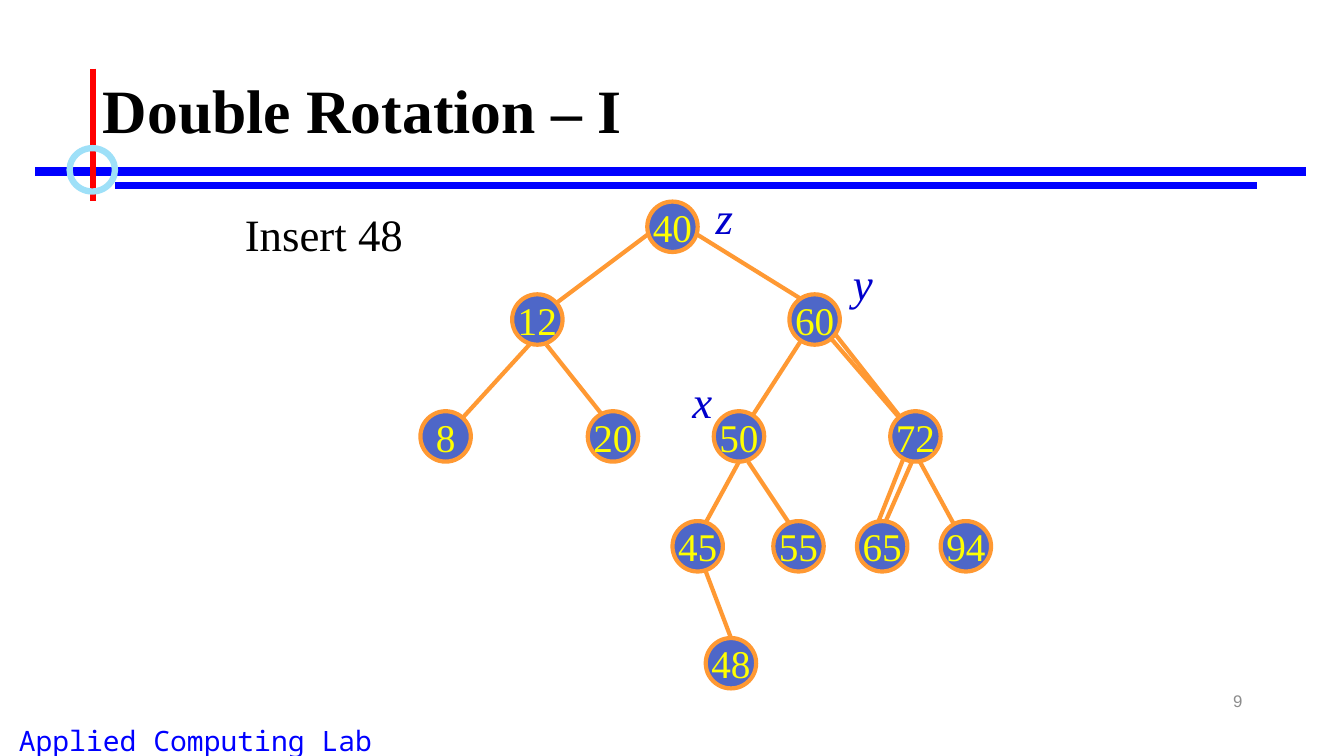
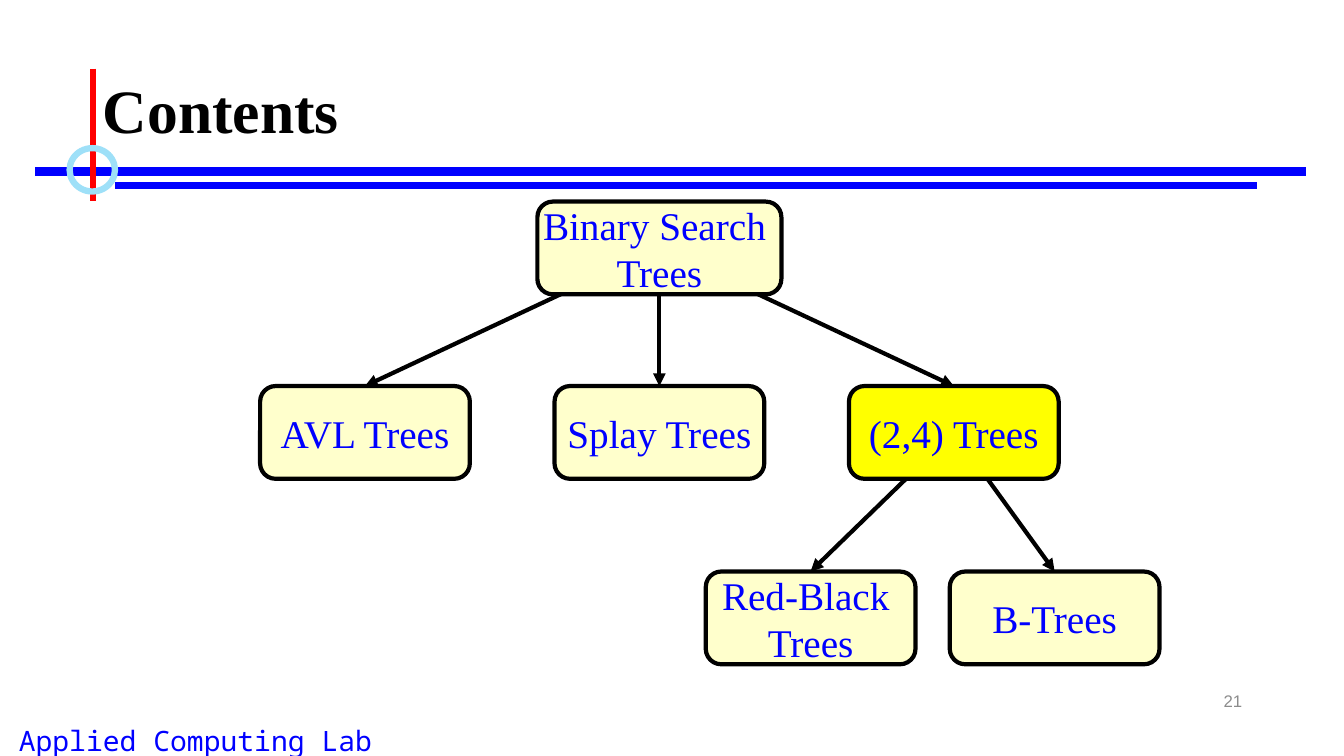
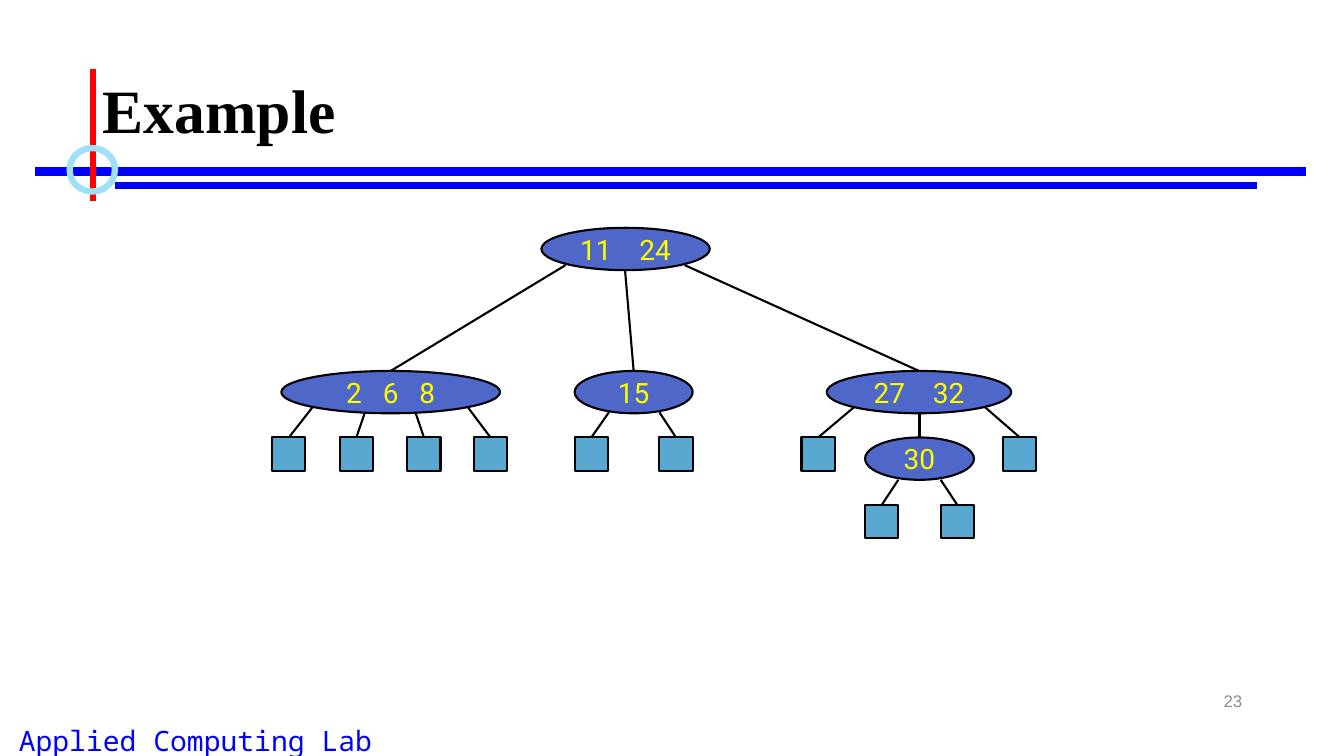
from dataclasses import dataclass

from lxml import etree
from pptx import Presentation
from pptx import util as u
from pptx.dml.color import RGBColor
from pptx.enum import shapes, text
from pptx.oxml import ns

COLORS = {
    "black": "000000",
    "blue": "0000FF",
    "label_blue": "0000CC",
    "red": "FF0000",
    "ring": "9EE0F8",
    "gray": "8C8C8C",
    "indigo": "4E67C8",
    "orange": "FF9933",
    "yellow": "FFFF00",
    "cream": "FFFFCC",
    "sky": "59A8D1",
}
SERIF = "Times New Roman"
TITLE_ONLY = 5
TOP_SITE = 0


@dataclass(frozen=True)
class TextStyle:
    font: str
    size: float
    color: str
    bold: bool = False
    italic: bool = False


@dataclass(frozen=True)
class ShapeStyle:
    preset: shapes.MSO_SHAPE
    fill: str | None
    line: str
    line_width: float


@dataclass(frozen=True)
class Box:
    left: float
    top: float
    width: float
    height: float


@dataclass(frozen=True)
class Line:
    x1: float
    y1: float
    x2: float
    y2: float


@dataclass(frozen=True)
class Topic:
    lines: tuple[str, ...]
    left: float
    top: float
    width: float = 2.08
    fill: str = "cream"
    subtopics: tuple["Topic", ...] = ()


@dataclass(frozen=True)
class Branch:
    x: float
    y: float
    child: "KeyNode"


@dataclass(frozen=True)
class KeyNode:
    left: float
    top: float
    width: float = 0.33
    keys: tuple[str, ...] = ()
    key_gap: float = 0
    branches: tuple[Branch, ...] = ()


TITLE = TextStyle(SERIF, 44, "black", bold=True)
FOOTER = TextStyle("Noto Sans Mono", 20, "blue")
PAGE_NUMBER = TextStyle("Arial", 12, "gray")
AVL_KEY = TextStyle(SERIF, 28, "yellow")
AVL_MARK = TextStyle(SERIF, 32, "label_blue", italic=True)
INSERT_NOTE = TextStyle(SERIF, 32, "black")
TOPIC = TextStyle(SERIF, 28, "blue")
MULTI_KEY = TextStyle("Roboto", 20, "yellow")

RING = ShapeStyle(shapes.MSO_SHAPE.OVAL, None, "ring", 4.5)
AVL_NODE = ShapeStyle(shapes.MSO_SHAPE.OVAL, "indigo", "orange", 3)
MULTI_NODE = ShapeStyle(shapes.MSO_SHAPE.OVAL, "indigo", "black", 1.5)
EXTERNAL_NODE = ShapeStyle(shapes.MSO_SHAPE.RECTANGLE, "sky", "black", 1.5)

BANDS = (
    (Line(0.35, 1.7, 12.95, 1.7), "blue", 6),
    (Line(1.14, 1.84, 12.47, 1.84), "blue", 4.5),
    (Line(0.92, 0.68, 0.92, 1.99), "red", 4.5),
)

AVL_EDGES = (
    Line(9.08, 4.5, 8.75, 5.25),
    Line(8.08, 3.17, 9.08, 4.33),
    Line(7, 5.67, 7.25, 6.33),
    Line(9.08, 4.5, 9.58, 5.42),
    Line(5.25, 3.42, 4.42, 4.33),
    Line(8.98, 4.5, 8.65, 5.33),
    Line(6.92, 2.33, 8, 3),
    Line(6.42, 2.33, 5.42, 3.08),
    Line(5.42, 3.42, 6.08, 4.25),
    Line(8.08, 3.17, 7.33, 4.33),
    Line(8.17, 3.17, 9.08, 4.33),
    Line(7.33, 4.58, 6.92, 5.33),
    Line(7.42, 4.58, 7.92, 5.33),
)
AVL_LEVELS = (
    (2, (("40", 6.42),)),
    (2.92, (("12", 5.08), ("60", 7.83))),
    (4.08, (("8", 4.17), ("20", 5.83), ("50", 7.08), ("72", 8.83))),
    (5.17, (("45", 6.67), ("55", 7.67), ("65", 8.5), ("94", 9.33))),
    (6.33, (("48", 7),)),
)
AVL_MARKS = (("z", 7, 1.83), ("x", 6.77, 3.66), ("y", 8.36, 2.49))

LEVELS = (2, 3.83, 5.67)
TOPICS = Topic(("Binary Search ", "Trees"), 5.33, LEVELS[0], 2.42, subtopics=(
    Topic(("AVL Trees",), 2.58, LEVELS[1]),
    Topic(("Splay Trees",), 5.5, LEVELS[1]),
    Topic(("(2,4) Trees",), 8.42, LEVELS[1], fill="yellow", subtopics=(
        Topic(("Red-Black ", "Trees"), 7, LEVELS[2]),
        Topic(("B-Trees",), 9.42, LEVELS[2]),
    )),
))

MULTIWAY_TREE = KeyNode(5.37, 2.26, 1.67, ("11", "24"), 14.85, (
    Branch(5.61, 2.63, KeyNode(2.79, 3.68, 2.17, ("2", "6", "8"), 9.9, (
        Branch(3.1, 4.04, KeyNode(2.7, 4.34)),
        Branch(3.62, 4.09, KeyNode(3.37, 4.34)),
        Branch(4.12, 4.09, KeyNode(4.04, 4.34)),
        Branch(4.64, 4.04, KeyNode(4.7, 4.34)),
    ))),
    Branch(6.2, 2.69, KeyNode(5.7, 3.68, 1.17, ("15",), branches=(
        Branch(6.04, 4.09, KeyNode(5.7, 4.34)),
        Branch(6.54, 4.09, KeyNode(6.54, 4.34)),
    ))),
    Branch(6.79, 2.63, KeyNode(8.2, 3.68, 1.83, ("27", "32"), 14.85, (
        Branch(8.47, 4.04, KeyNode(7.95, 4.34)),
        Branch(9.12, 4.1, KeyNode(8.58, 4.34, 1.08, ("30",), branches=(
            Branch(8.91, 4.76, KeyNode(8.58, 5.01)),
            Branch(9.33, 4.76, KeyNode(9.33, 5.01)),
        ))),
        Branch(9.77, 4.04, KeyNode(9.95, 4.34)),
    ))),
))


def rgb(name: str) -> RGBColor:
    return RGBColor.from_string(COLORS[name])


def inches(box: Box) -> tuple:
    return tuple(u.Inches(v) for v in (box.left, box.top, box.width, box.height))


def add_run(paragraph, words: str, style: TextStyle):
    run = paragraph.add_run()
    run.text = words
    font = run.font
    font.name, font.size = style.font, u.Pt(style.size)
    font.bold, font.italic = style.bold, style.italic
    font.color.rgb = rgb(style.color)
    return run


def write_lines(frame, lines: tuple, style: TextStyle, align=text.PP_ALIGN.LEFT) -> None:
    for index, words in enumerate(lines):
        paragraph = frame.add_paragraph() if index else frame.paragraphs[0]
        paragraph.alignment = align
        add_run(paragraph, words, style)


def add_label(slide, box: Box, words: str, style: TextStyle, align=text.PP_ALIGN.LEFT, wrap=False):
    frame = slide.shapes.add_textbox(*inches(box)).text_frame
    frame.word_wrap = wrap
    write_lines(frame, (words,), style, align)
    return frame


def add_figure(slide, box: Box, style: ShapeStyle):
    figure = slide.shapes.add_shape(style.preset, *inches(box))
    figure.shadow.inherit = False
    if style.fill:
        figure.fill.solid()
        figure.fill.fore_color.rgb = rgb(style.fill)
    else:
        figure.fill.background()
    figure.line.color.rgb = rgb(style.line)
    figure.line.width = u.Pt(style.line_width)
    figure.text_frame.word_wrap = False
    figure.text_frame.vertical_anchor = text.MSO_ANCHOR.MIDDLE
    return figure


def add_line(slide, line: Line, color: str, width: float, arrow: bool = False):
    connector = slide.shapes.add_connector(
        shapes.MSO_CONNECTOR.STRAIGHT,
        *(u.Inches(v) for v in (line.x1, line.y1, line.x2, line.y2)),
    )
    connector.line.color.rgb = rgb(color)
    connector.line.width = u.Pt(width)
    properties = connector._element.spPr
    if arrow:
        outline = properties.find(ns.qn("a:ln"))
        etree.SubElement(outline, ns.qn("a:tailEnd")).set("type", "triangle")
    etree.SubElement(properties, ns.qn("a:effectLst"))
    return connector


def add_base_slide(deck, heading: str, number: str):
    slide = deck.slides.add_slide(deck.slide_layouts[TITLE_ONLY])
    title = slide.shapes.title
    title.left, title.top, title.width, title.height = inches(Box(0.92, 0.4, 11.5, 1.45))
    title.text_frame.auto_size = text.MSO_AUTO_SIZE.NONE
    title.text_frame.vertical_anchor = text.MSO_ANCHOR.MIDDLE
    write_lines(title.text_frame, (heading,), TITLE)
    title.text_frame.paragraphs[0].line_spacing = 0.9

    add_label(slide, Box(0.04, 7.13, 3.8, 0.37), "Applied Computing Lab", FOOTER,
              text.PP_ALIGN.CENTER)
    for line, color, width in BANDS:
        add_line(slide, line, color, width)
    add_figure(slide, Box(0.69, 1.47, 0.45, 0.43), RING)
    page = add_label(slide, Box(9.42, 6.75, 3, 0.4), number, PAGE_NUMBER,
                     text.PP_ALIGN.RIGHT, wrap=True)
    page.vertical_anchor = text.MSO_ANCHOR.MIDDLE
    return slide


def draw_rotation(slide) -> None:
    for edge in AVL_EDGES:
        add_line(slide, edge, "orange", 3)
    for top, nodes in AVL_LEVELS:
        for key, left in nodes:
            node = add_figure(slide, Box(left, top, 0.5, 0.5), AVL_NODE)
            write_lines(node.text_frame, (key,), AVL_KEY, text.PP_ALIGN.CENTER)
    for mark, left, top in AVL_MARKS:
        add_label(slide, Box(left, top, 0.4, 0.63), mark, AVL_MARK)
    add_label(slide, Box(2.33, 2, 1.77, 0.63), "Insert 48", INSERT_NOTE)


def draw_topic(slide, topic: Topic):
    height = 0.92
    center_x, center_y = topic.left + topic.width / 2, topic.top + height / 2
    for subtopic in topic.subtopics:
        target = draw_topic(slide, subtopic)
        arrow = add_line(slide, Line(center_x, center_y, subtopic.left, subtopic.top),
                         "black", 3, arrow=True)
        arrow.end_connect(target, TOP_SITE)
    style = ShapeStyle(shapes.MSO_SHAPE.ROUNDED_RECTANGLE, topic.fill, "black", 3)
    figure = add_figure(slide, Box(topic.left, topic.top, topic.width, height), style)
    write_lines(figure.text_frame, topic.lines, TOPIC, text.PP_ALIGN.CENTER)
    return figure


def write_keys(frame, keys: tuple[str, ...], gap: float) -> None:
    paragraph = frame.paragraphs[0]
    paragraph.alignment = text.PP_ALIGN.CENTER
    for index, key in enumerate(keys):
        if index:
            space = add_run(paragraph, " ", MULTI_KEY)
            space._r.get_or_add_rPr().set("spc", str(round(gap * 100)))
        add_run(paragraph, key, MULTI_KEY)


def draw_key_node(slide, node: KeyNode):
    height = 0.42 if node.keys else 0.33
    style = MULTI_NODE if node.keys else EXTERNAL_NODE
    figure = add_figure(slide, Box(node.left, node.top, node.width, height), style)
    if node.keys:
        write_keys(figure.text_frame, node.keys, node.key_gap)
    for branch in node.branches:
        child = draw_key_node(slide, branch.child)
        edge = add_line(slide, Line(branch.x, branch.y, branch.child.left, branch.child.top),
                        "black", 1.5)
        edge.end_connect(child, TOP_SITE)
    return figure


def main() -> None:
    deck = Presentation()
    deck.slide_width, deck.slide_height = u.Inches(13.33), u.Inches(7.5)
    draw_rotation(add_base_slide(deck, "Double Rotation – I", "9"))
    draw_topic(add_base_slide(deck, "Contents", "21"), TOPICS)
    draw_key_node(add_base_slide(deck, "Example", "23"), MULTIWAY_TREE)
    deck.save("out.pptx")


if __name__ == "__main__":
    main()
